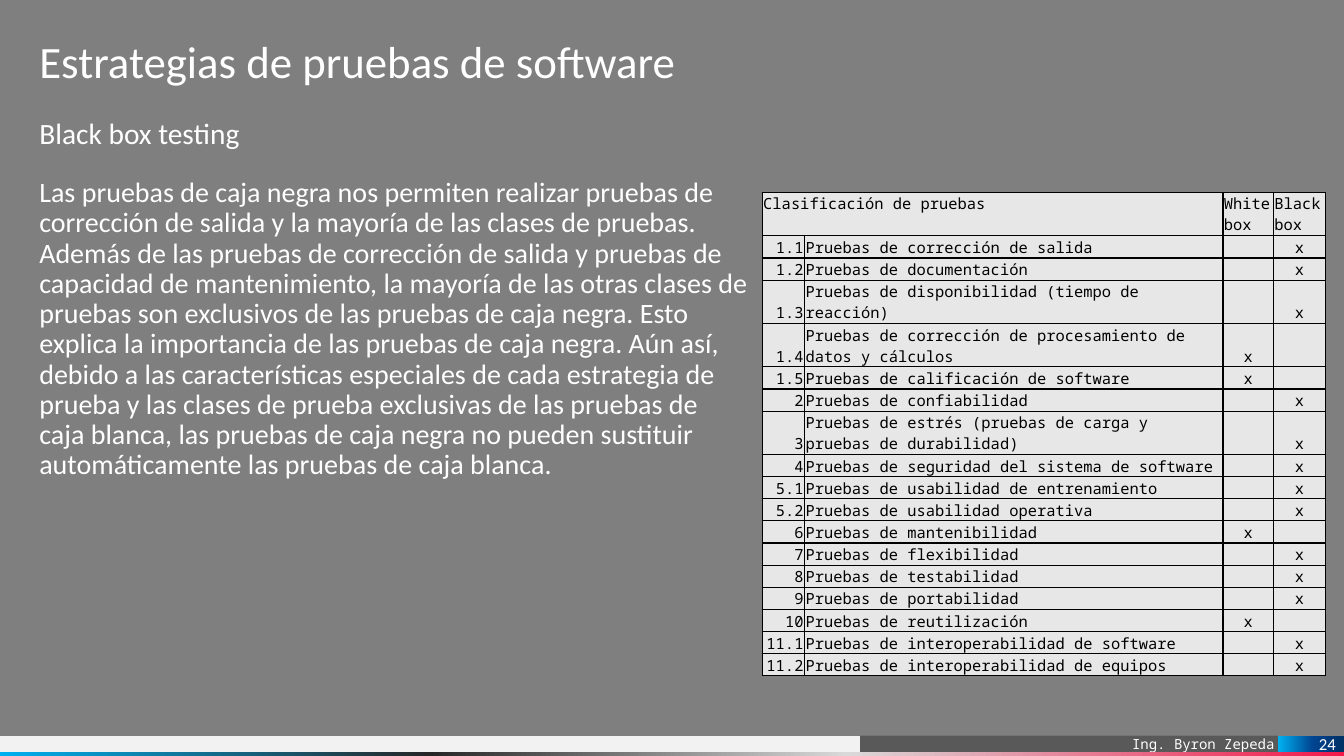
from lxml import etree
from pptx import Presentation
from pptx.dml.color import RGBColor
from pptx.enum import shapes, text
from pptx.oxml import ns
from pptx.util import Inches, Pt

# Content
TITLE = "Estrategias de pruebas de software"
SUBTITLE = "Black box testing"
BODY = (
    "Las pruebas de caja negra nos permiten realizar pruebas de corrección de salida "
    "y la mayoría de las clases de pruebas. Además de las pruebas de corrección de salida "
    "y pruebas de capacidad de mantenimiento, la mayoría de las otras clases de pruebas "
    "son exclusivos de las pruebas de caja negra. Esto explica la importancia de las "
    "pruebas de caja negra. Aún así, debido a las características especiales de cada "
    "estrategia de prueba y las clases de prueba exclusivas de las pruebas de caja blanca, "
    "las pruebas de caja negra no pueden sustituir automáticamente las pruebas de caja blanca."
)
AUTHOR = "Ing. Byron Zepeda"
PAGE = "24"
HEADER = ["Clasificación de pruebas", "", "White box", "Black box"]
TESTS = [
    ("1.1", "Pruebas de corrección de salida"),
    ("1.2", "Pruebas de documentación"),
    ("1.3", "Pruebas de disponibilidad (tiempo de reacción)"),
    ("1.4", "Pruebas de corrección de procesamiento de datos y cálculos"),
    ("1.5", "Pruebas de calificación de software"),
    ("2", "Pruebas de confiabilidad"),
    ("3", "Pruebas de estrés (pruebas de carga y pruebas de durabilidad)"),
    ("4", "Pruebas de seguridad del sistema de software"),
    ("5.1", "Pruebas de usabilidad de entrenamiento"),
    ("5.2", "Pruebas de usabilidad operativa"),
    ("6", "Pruebas de mantenibilidad"),
    ("7", "Pruebas de flexibilidad"),
    ("8", "Pruebas de testabilidad"),
    ("9", "Pruebas de portabilidad"),
    ("10", "Pruebas de reutilización"),
    ("11.1", "Pruebas de interoperabilidad de software"),
    ("11.2", "Pruebas de interoperabilidad de equipos"),
]
WHITE_BOX = {"1.4", "1.5", "6", "10"}

# Style
WHITE = RGBColor(0xFF, 0xFF, 0xFF)
BLACK = RGBColor(0, 0, 0)
LIGHT = RGBColor(0xF2, 0xF2, 0xF2)
DARK = RGBColor(0x59, 0x59, 0x59)
CELL = RGBColor(0xE7, 0xE7, 0xE7)
RED = RGBColor(0xF2, 0x19, 0x4A)
SILVER = RGBColor(0xD9, 0xD9, 0xD9)
COAL = RGBColor(0x26, 0x26, 0x26)
SKY = RGBColor(0x00, 0xB0, 0xF0)
NAVY = RGBColor(0x00, 0x30, 0x65)
BLUE = RGBColor(0x00, 0x44, 0x90)
SANS, MONO = "Calibri", "Noto Sans Mono"
LEFT, CENTER, RIGHT = text.PP_ALIGN.LEFT, text.PP_ALIGN.CENTER, text.PP_ALIGN.RIGHT
TOP, MIDDLE, BOTTOM = text.MSO_ANCHOR.TOP, text.MSO_ANCHOR.MIDDLE, text.MSO_ANCHOR.BOTTOM

# Layout
WIDTH, HEIGHT = 13.33, 7.5
MARGIN, BAR_TOP, BAR_H = 0.39, 7.3, 0.16
COLS = [0.42, 4.15, 0.5, 0.52]
ONE_LINE, TWO_LINES = 0.22, 0.43
LINE_CHARS = 45  # characters that fit on one line of the name column


def sub(parent, tag, **attrs):
    return etree.SubElement(parent, ns.qn(tag), attrs)


def write(tf, content, size=20, font=SANS, color=WHITE, align=LEFT, spacing=None):
    p = tf.paragraphs[0]
    p.alignment = align
    if spacing:
        p.line_spacing = spacing
    if content:
        r = p.add_run()
        r.text = content
        r.font.size, r.font.name = Pt(size), font
        r.font.color.rgb = color
    else:
        # An empty cell keeps the row low through its end mark
        end = sub(p._p, "a:endParaRPr", sz=str(size * 100))
        sub(end, "a:latin", typeface=font)


def set_insets(box, left=0, top=0, right=0, bottom=0):
    box.margin_left, box.margin_top = Inches(left), Inches(top)
    box.margin_right, box.margin_bottom = Inches(right), Inches(bottom)


def add_bar(s, x, y, w, h, color=None, stops=None, alpha=None):
    sp = s.shapes.add_shape(shapes.MSO_SHAPE.RECTANGLE,
                            Inches(x), Inches(y), Inches(w), Inches(h))
    sp.shadow.inherit = False
    sp.line.fill.background()
    if stops:
        sp.fill.gradient()
        grad = sp._element.spPr.find(ns.qn("a:gradFill"))
        for child in list(grad):
            grad.remove(child)
        gs_list = sub(grad, "a:gsLst")
        for pos, rgb in stops:
            gs = sub(gs_list, "a:gs", pos=str(pos * 1000))
            sub(gs, "a:srgbClr", val=str(rgb))
        sub(grad, "a:lin", ang="10800000", scaled="0")
    else:
        sp.fill.solid()
        sp.fill.fore_color.rgb = color
        if alpha:
            clr = sp._element.spPr.find(".//" + ns.qn("a:srgbClr"))
            sub(clr, "a:alpha", val=str(alpha * 1000))
    return sp


def add_text(s, x, y, w, h, content, **fmt):
    tf = s.shapes.add_textbox(Inches(x), Inches(y), Inches(w), Inches(h)).text_frame
    tf.word_wrap = True
    set_insets(tf)
    write(tf, content, spacing=0.9, **fmt)


def add_borders(cell):
    tc_pr = cell._tc.get_or_add_tcPr()
    for i, side in enumerate(("a:lnL", "a:lnR", "a:lnT", "a:lnB")):
        ln = etree.Element(ns.qn(side), w=str(Pt(1)))
        sub(sub(ln, "a:solidFill"), "a:srgbClr", val=str(BLACK))
        tc_pr.insert(i, ln)


def add_tests_table(s, x, y):
    rows, heights = [HEADER], [TWO_LINES]
    for num, name in TESTS:
        marks = ["x", ""] if num in WHITE_BOX else ["", "x"]
        rows.append([num, name] + marks)
        heights.append(TWO_LINES if len(name) > LINE_CHARS else ONE_LINE)
    frame = s.shapes.add_table(len(rows), len(COLS), Inches(x), Inches(y),
                               Inches(sum(COLS)), Inches(sum(heights)))
    table = frame.table
    table.first_row = table.horz_banding = False
    for col, w in zip(table.columns, COLS):
        col.width = Inches(w)
    for i, values in enumerate(rows):
        table.rows[i].height = Inches(heights[i])
        for j, value in enumerate(values):
            cell = table.cell(i, j)
            set_insets(cell, 0.01, 0.01, 0.01)
            cell.vertical_anchor = BOTTOM if i else TOP
            cell.fill.solid()
            cell.fill.fore_color.rgb = CELL
            add_borders(cell)
            align = (RIGHT, LEFT, CENTER, CENTER)[j] if i else LEFT
            write(cell.text_frame, value, size=11, font=MONO, color=BLACK, align=align)
    table.cell(0, 0).merge(table.cell(0, 1))


def main():
    prs = Presentation()
    prs.slide_width, prs.slide_height = Inches(WIDTH), Inches(HEIGHT)
    s = prs.slides.add_slide(prs.slide_layouts[6])

    # Footer bars and grey veil
    add_bar(s, -0.01, BAR_TOP, 10.29, BAR_H, LIGHT)
    author = add_bar(s, 8.53, BAR_TOP, 4.15, BAR_H, DARK).text_frame
    author.vertical_anchor = BOTTOM
    set_insets(author, left=0.1, right=0.04)
    write(author, AUTHOR, size=10, font=MONO, align=RIGHT)
    add_bar(s, -0.01, BAR_TOP + BAR_H, 13.34, 0.04,
            stops=[(0, RED), (37, SILVER), (68, COAL), (100, SKY)])
    add_bar(s, 0, 0, WIDTH, BAR_TOP, BLACK, alpha=50)

    # Title and text
    add_text(s, MARGIN, 0.39, 12.55, 0.59, TITLE, size=32)
    add_text(s, MARGIN, 1.18, 12.55, 0.39, SUBTITLE, size=21)
    add_text(s, MARGIN, 1.77, 7.04, 4.92, BODY)

    # Page number
    page = add_bar(s, 12.68, BAR_TOP, 0.65, BAR_H,
                   stops=[(0, NAVY), (47, BLUE), (100, SKY)]).text_frame
    page.vertical_anchor = MIDDLE
    set_insets(page, right=0.08)
    write(page, PAGE, size=12, align=RIGHT)

    # Classification of tests
    add_tests_table(s, 7.56, 1.91)
    prs.save("out.pptx")


if __name__ == "__main__":
    main()
